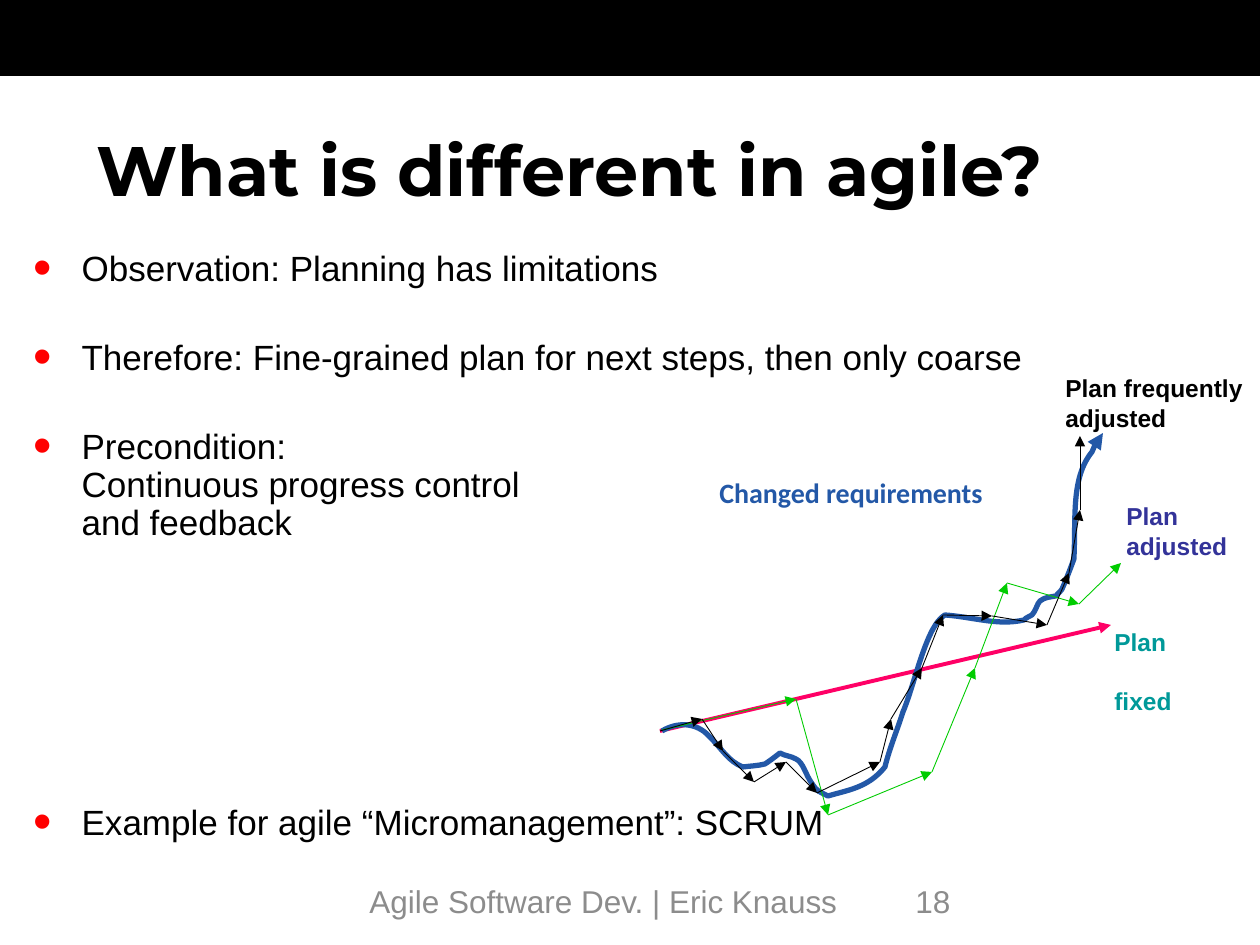
from itertools import pairwise

from lxml.etree import SubElement
from pptx import Presentation
from pptx.dml.color import RGBColor
from pptx.enum.shapes import MSO_CONNECTOR, MSO_SHAPE
from pptx.enum.text import MSO_ANCHOR, MSO_AUTO_SIZE, PP_ALIGN
from pptx.oxml.ns import qn
from pptx.util import Emu, Inches, Pt

PX = Inches(1) // 126

BLACK = RGBColor(0x00, 0x00, 0x00)
RED = RGBColor(0xFF, 0x00, 0x00)
PINK = RGBColor(0xFF, 0x00, 0x66)
BLUE = RGBColor(0x23, 0x58, 0xA7)
GREEN = RGBColor(0x00, 0xCC, 0x00)
TEAL = RGBColor(0x00, 0x99, 0x99)
INDIGO = RGBColor(0x33, 0x33, 0x99)
GRAY = RGBColor(0x8C, 0x8C, 0x8C)

TITLE = "What is different in agile?"
# text, px of space before
BULLETS = [
    ("Observation: Planning has limitations", 0),
    ("Therefore: Fine-grained plan for next steps, then only coarse", 51),
    ("Precondition:\nContinuous progress control\nand feedback", 51),
    ("Example for agile “Micromanagement”: SCRUM", 262),
]
# paragraphs, box in px, font, size, bold, colour
LABELS = [
    (["Plan", "fixed"], (1102, 621, 83, 102), "Arial", 14, True, TEAL),
    (["Changed requirements"], (707, 469, 334, 47), "Calibri", 16, True, BLUE),
    (["Plan\nadjusted"], (1114, 495, 127, 72), "Arial", 14, True, INDIGO),
    (["Plan frequently\nadjusted"], (1053, 367, 204, 72), "Arial", 14, True, BLACK),
    (["Agile Software Dev. | Eric Knauss"], (357, 876, 546, 50), "Arial", 18, False, GRAY),
    (["18"], (903, 876, 294, 50), "Arial", 18, False, GRAY),
]
LABEL_GAP = 29

FIXED_PLAN = [(660, 731), (1111, 625)]
ADJUSTED_PLAN = [
    (662, 730), (796, 699), (828, 815), (932, 772),
    (975, 668), (1007, 583), (1079, 604), (1121, 563),
]
FREQUENT_PLAN = [
    (660, 731), (702, 719), (723, 751), (754, 782), (786, 762),
    (817, 793), (880, 762), (891, 719), (922, 668), (943, 615),
    (992, 616), (1047, 625), (1069, 573), (1080, 510), (1080, 436),
]
# start, then two control points and an end point per Bézier segment
REQUIREMENTS_START = (662, 731)
REQUIREMENTS_CURVE = [
    (677, 722), (696, 722), (709, 736),
    (723, 750), (728, 761), (743, 767),
    (750, 766), (757, 766), (765, 764),
    (770, 761), (780, 753), (780, 753),
    (785, 756), (791, 756), (796, 759),
    (803, 762), (806, 775), (811, 782),
    (818, 793), (819, 791), (828, 796),
    (848, 790), (868, 788), (885, 767),
    (890, 747), (897, 731), (903, 712),
    (915, 684), (926, 626), (945, 615),
    (973, 617), (998, 626), (1024, 620),
    (1027, 617), (1029, 617), (1032, 615),
    (1036, 611), (1037, 604), (1040, 601),
    (1045, 597), (1051, 597), (1056, 596),
    (1058, 593), (1062, 591), (1063, 587),
    (1067, 578), (1074, 559), (1074, 559),
    (1076, 517), (1071, 478), (1092, 452),
    (1099, 436), (1095, 441), (1103, 433),
]


def px(*lengths):
    return [Emu(length * PX) for length in lengths]


def place(shape, *box):
    shape.left, shape.top, shape.width, shape.height = px(*box)


def set_font(paragraph, name, size, color, bold=False):
    font = paragraph.font
    font.name, font.size, font.bold = name, Pt(size), bold
    font.color.rgb = color


def style_arrow(shape, color, width):
    shape.line.color.rgb = color
    shape.line.width = Pt(width)
    line = shape.element.spPr.find(qn("a:ln"))
    SubElement(line, qn("a:tailEnd"), type="triangle")


def add_arrows(slide, points, color, width):
    """Join each point to the next with its own arrow."""
    for start, end in pairwise(points):
        arrow = slide.shapes.add_connector(MSO_CONNECTOR.STRAIGHT, *px(*start, *end))
        style_arrow(arrow, color, width)
        SubElement(arrow.element.spPr, qn("a:effectLst"))


def add_curve(slide, start, points, color, width):
    """Draw an open outline and turn each three line steps into one Bézier segment."""
    builder = slide.shapes.build_freeform(*start, scale=PX)
    builder.add_line_segments(points, close=False)
    curve = builder.convert_to_shape()
    curve.shadow.inherit = False
    curve.fill.background()
    style_arrow(curve, color, width)
    outline = next(curve.element.iter(qn("a:path")))
    steps = outline.findall(qn("a:lnTo"))
    for first in range(0, len(steps), 3):
        bezier = SubElement(outline, qn("a:cubicBezTo"))
        for step in steps[first:first + 3]:
            bezier.append(step[0])
            outline.remove(step)


def add_bullet(paragraph):
    properties = paragraph._p.get_or_add_pPr()
    indent = 48 * PX
    properties.set("marL", str(indent))
    properties.set("indent", str(-indent))
    bullet_color = SubElement(properties, qn("a:buClr"))
    SubElement(bullet_color, qn("a:srgbClr"), val=str(RED))
    SubElement(properties, qn("a:buSzPct"), val="150000")
    SubElement(properties, qn("a:buFont"), typeface="Arial")
    SubElement(properties, qn("a:buChar"), char="•")


def fill_body(body):
    place(body, 21, 244, 1205, 634)
    frame = body.text_frame
    frame.auto_size = MSO_AUTO_SIZE.NONE
    for number, (text, gap) in enumerate(BULLETS):
        paragraph = frame.add_paragraph() if number else frame.paragraphs[0]
        paragraph.text = text
        add_bullet(paragraph)
        paragraph.line_spacing = Pt(21.7)
        paragraph.space_before = Emu(gap * PX)
        set_font(paragraph, "Arial", 20, BLACK)


def add_label(slide, texts, box, font, size, bold, color):
    frame = slide.shapes.add_textbox(*px(*box)).text_frame
    frame.word_wrap = not bold
    for number, text in enumerate(texts):
        paragraph = frame.add_paragraph() if number else frame.paragraphs[0]
        paragraph.text = text
        if number:
            paragraph.space_before = Emu(LABEL_GAP * PX)
        set_font(paragraph, font, size, color, bold)


def main():
    deck = Presentation()
    deck.slide_width, deck.slide_height = px(1260, 945)
    slide = deck.slides.add_slide(deck.slide_layouts[1])

    banner = slide.shapes.add_shape(MSO_SHAPE.RECTANGLE, *px(0, 0, 1260, 76))
    banner.shadow.inherit = False
    banner.fill.solid()
    banner.fill.fore_color.rgb = BLACK
    banner.line.fill.background()

    title = slide.shapes.title
    place(title, 84, 116, 1176, 105)
    title.text_frame.text = TITLE
    title.text_frame.auto_size = MSO_AUTO_SIZE.NONE
    title.text_frame.vertical_anchor = MSO_ANCHOR.MIDDLE
    heading = title.text_frame.paragraphs[0]
    heading.alignment = PP_ALIGN.LEFT
    set_font(heading, "Montserrat", 40, BLACK, bold=True)

    fill_body(slide.placeholders[1])

    add_arrows(slide, FIXED_PLAN, PINK, 2.25)
    add_curve(slide, REQUIREMENTS_START, REQUIREMENTS_CURVE, BLUE, 3)
    add_arrows(slide, ADJUSTED_PLAN, GREEN, 0.5)
    add_arrows(slide, FREQUENT_PLAN, BLACK, 0.5)
    for label in LABELS:
        add_label(slide, *label)

    deck.save("out.pptx")


if __name__ == "__main__":
    main()
